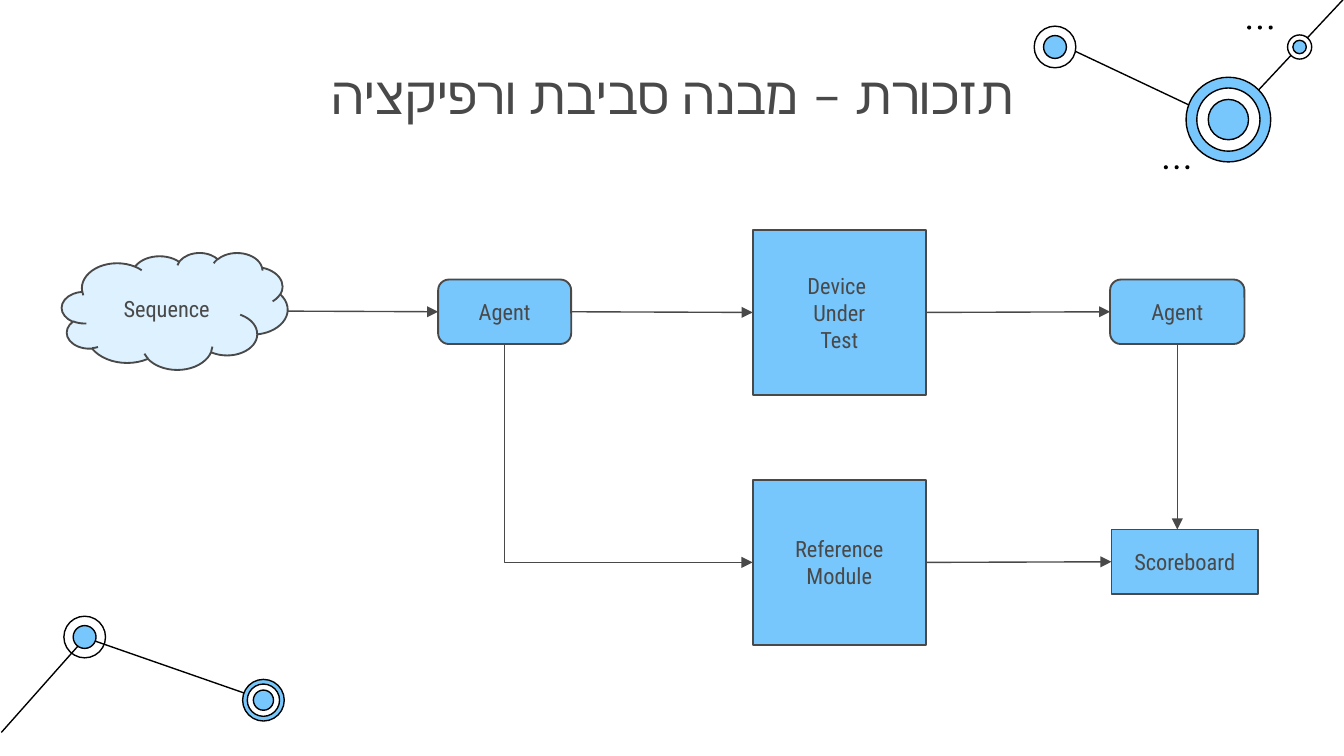
from lxml.etree import SubElement
from pptx import Presentation
from pptx.dml.color import RGBColor
from pptx.enum.shapes import MSO_CONNECTOR as LINK, MSO_SHAPE as SHAPE
from pptx.enum.text import MSO_ANCHOR as ANCHOR, PP_ALIGN as ALIGN
from pptx.oxml.ns import qn
from pptx.util import Inches, Pt

COLORS = {"ink": "494949", "blue": "77C6FC", "pale": "DDF1FE",
          "white": "FFFFFF", "black": "000000"}

TITLE = "תזכורת – מבנה סביבת ורפיקציה"

# name: shape, left, top, width, height, fill, lines of text
BLOCKS = {
    "sequence": (SHAPE.CLOUD, 0.46, 1.88, 1.68, 0.87, "pale", ["Sequence"]),
    "driver": (SHAPE.ROUNDED_RECTANGLE, 3.26, 2.08, 0.99, 0.48, "blue", ["Agent"]),
    "model": (SHAPE.RECTANGLE, 5.6, 3.57, 1.29, 1.23, "blue", ["Reference Module"]),
    "device": (SHAPE.RECTANGLE, 5.6, 1.71, 1.29, 1.23, "blue",
               ["Device ", "Under", "Test"]),
    "score": (SHAPE.RECTANGLE, 8.27, 3.94, 1.09, 0.48, "blue", ["Scoreboard"]),
    "monitor": (SHAPE.ROUNDED_RECTANGLE, 8.26, 2.08, 1, 0.48, "blue", ["Agent"]),
}
FLOWS = [("driver", "device"), ("sequence", "driver"),
         ("device", "monitor"), ("model", "score")]

# Corner decoration: lines, rings (centre, then diameter and fill), dot rows
RAYS = [(0.65, 4.75, 1.97, 5.21), (0.01, 5.45, 0.64, 4.74),
        (7.87, 0.32, 9.14, 0.92), (9.14, 0.91, 10, -0.01)]
RINGS = [
    (0.63, 4.74, [(0.31, None), (0.17, "blue")]),
    (1.96, 5.21, [(0.31, "blue"), (0.24, "white"), (0.15, "blue")]),
    (9.14, 0.89, [(0.63, "blue"), (0.47, "white"), (0.3, "blue")]),
    (7.85, 0.35, [(0.31, "white"), (0.17, "blue")]),
    (9.67, 0.35, [(0.18, "white"), (0.1, "blue")]),
]
DOTS = [(9.28, 0.19), (8.66, 1.23)]
DOT, STEP = 0.03, 0.08

deck = Presentation()
deck.slide_width, deck.slide_height = Inches(10), Inches(10 * 9 / 16)
slide = deck.slides.add_slide(deck.slide_layouts[6])
shapes = slide.shapes


def rgb(name):
    return RGBColor.from_string(COLORS[name])


def add_shape(kind, x, y, w, h, fill, line=None, width=0.75):
    shape = shapes.add_shape(kind, Inches(x), Inches(y), Inches(w), Inches(h))
    shape.shadow.inherit = False
    if fill:
        shape.fill.solid()
        shape.fill.fore_color.rgb = rgb(fill)
    else:
        shape.fill.background()
    if line:
        shape.line.color.rgb = rgb(line)
        shape.line.width = Pt(width)
    else:
        shape.line.fill.background()
    return shape


def add_line(x1, y1, x2, y2, color, kind=LINK.STRAIGHT, arrow=True):
    line = shapes.add_connector(kind, Inches(x1), Inches(y1), Inches(x2), Inches(y2))
    line.line.color.rgb = rgb(color)
    line.line.width = Pt(0.75)
    props = line._element.spPr
    if arrow:
        SubElement(props.find(qn("a:ln")), qn("a:tailEnd"), type="triangle")
    SubElement(props, qn("a:effectLst"))
    return line


def write(frame, lines, font, size):
    frame.word_wrap = True
    frame.vertical_anchor = ANCHOR.MIDDLE
    for i, text in enumerate(lines):
        para = frame.paragraphs[0] if i == 0 else frame.add_paragraph()
        para.text = text
        para.alignment = ALIGN.CENTER
        para.font.name, para.font.size = font, Pt(size)
        para.font.color.rgb = rgb("ink")


def side(name, fx, fy):
    """Point on a block, as fractions of its width and height."""
    _, x, y, w, h, *_ = BLOCKS[name]
    return x + w * fx, y + h * fy


# Corner decoration
for ray in RAYS:
    add_line(*ray, "black", arrow=False)
for cx, cy, discs in RINGS:
    for size, fill in discs:
        add_shape(SHAPE.OVAL, cx - size / 2, cy - size / 2, size, size, fill, "black")
for x, y in DOTS:
    for i in range(3):
        add_shape(SHAPE.OVAL, x + i * STEP, y, DOT, DOT, "black")

# Title
title = shapes.add_textbox(Inches(2.3), Inches(0.38), Inches(5.41), Inches(0.64))
frame = title.text_frame
frame.margin_top = frame.margin_bottom = Inches(0.1)
write(frame, [TITLE], "Lato", 28)
props = frame.paragraphs[0]._p.pPr
props.set("rtl", "1")
SubElement(props.find(qn("a:defRPr")), qn("a:cs"), typeface="Lato")

# Blocks
for kind, x, y, w, h, fill, lines in BLOCKS.values():
    block = add_shape(kind, x, y, w, h, fill, "ink", 1)
    write(block.text_frame, lines, "Roboto Condensed", 12)

# Straight flows
for start, end in FLOWS:
    add_line(*side(start, 1, 0.5), *side(end, 0, 0.5), "ink")
x, y = side("monitor", 0.5, 1)
add_line(x, y, x, side("score", 0, 0)[1], "ink")

# Bent flow: down, then right (a flipped elbow turned by 270 degrees)
x1, y1 = side("driver", 0.5, 1)
x2, y2 = side("model", 0, 0.5)
cx, cy = (x1 + x2) / 2, (y1 + y2) / 2
w, h = y2 - y1, x2 - x1
bend = add_line(cx - w / 2, cy - h / 2, cx + w / 2, cy + h / 2, "ink", LINK.ELBOW)
props = bend._element.spPr
props.find(qn("a:prstGeom")).set("prst", "bentConnector2")
turn = props.find(qn("a:xfrm"))
turn.set("rot", "16200000")
turn.set("flipH", "1")

deck.save("out.pptx")
